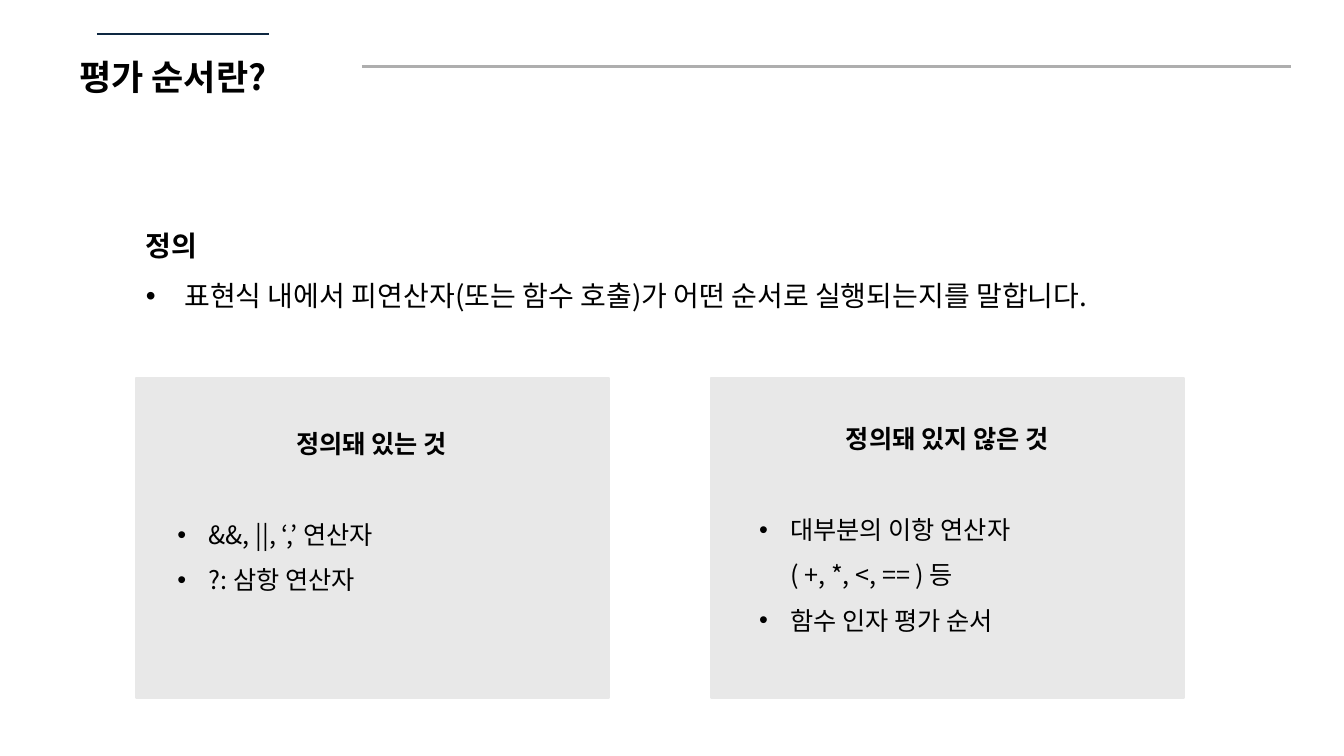
from lxml.etree import SubElement
from pptx import Presentation
from pptx.dml.color import RGBColor
from pptx.enum.shapes import MSO_CONNECTOR, MSO_SHAPE
from pptx.enum.text import MSO_AUTO_SIZE, PP_ALIGN
from pptx.oxml.ns import qn
from pptx.util import Inches, Pt

COLORS = {"text": "000000", "accent": "0E2841", "rule": "AEAEAE", "panel": "E8E8E8"}
FONT = "Noto Sans CJK KR"


class SlideBuilder:
    """Draw styled elements on the current slide."""

    def __init__(self, slide):
        self.slide = slide

    def color(self, name):
        return RGBColor.from_string(COLORS[name])

    def rule(self, left, right, top, color):
        connector = self.slide.shapes.add_connector(
            MSO_CONNECTOR.STRAIGHT, Inches(left), Inches(top), Inches(right), Inches(top))
        connector.line.color.rgb = self.color(color)
        connector.line.width = Pt(1.5)
        SubElement(connector._element.spPr, qn("a:effectLst"))

    def panel(self, left, top, width, height):
        shape = self.slide.shapes.add_shape(
            MSO_SHAPE.RECTANGLE, Inches(left), Inches(top), Inches(width), Inches(height))
        shape.shadow.inherit = False
        shape.fill.solid()
        shape.fill.fore_color.rgb = self.color("panel")
        shape.line.color.rgb = self.color("panel")
        shape.line.width = Pt(1.5)

    def style(self, paragraph, size, bold):
        font = paragraph.font
        font.size, font.bold, font.name = Pt(size), bold, FONT
        font.color.rgb = self.color("text")
        properties = paragraph._p.get_or_add_pPr().find(qn("a:defRPr"))
        SubElement(properties, qn("a:ea"), typeface=FONT)

    def bullet(self, paragraph, indent):
        properties = paragraph._p.get_or_add_pPr()
        properties.set("marL", str(Inches(indent)))
        properties.set("indent", str(-Inches(indent)))
        SubElement(properties, qn("a:buFont"), typeface="Arial")
        SubElement(properties, qn("a:buChar"), char="•")

    def text(self, box, heading, size, bullets=(), indent=0, spacing=1.5, gap=0, align=PP_ALIGN.LEFT):
        shape = self.slide.shapes.add_textbox(*(Inches(length) for length in box))
        frame = shape.text_frame
        frame.word_wrap = True
        frame.auto_size = MSO_AUTO_SIZE.SHAPE_TO_FIT_TEXT
        title = frame.paragraphs[0]
        title.text = heading
        title.alignment = align
        title.line_spacing = spacing
        title.space_after = Pt(gap)
        self.style(title, size, True)
        for content in bullets:
            paragraph = frame.add_paragraph()
            paragraph.text = content
            paragraph.line_spacing = spacing
            self.bullet(paragraph, indent)
            self.style(paragraph, size, False)


def main():
    presentation = Presentation()
    presentation.slide_width, presentation.slide_height = Inches(13.33), Inches(7.5)
    builder = SlideBuilder(presentation.slides.add_slide(presentation.slide_layouts[6]))

    builder.rule(0.96, 2.67, 0.34, "accent")
    builder.rule(3.59, 12.8, 0.66, "rule")
    builder.text((0.69, 0.5, 2.22, 0.52), "평가 순서란?", 25, spacing=1)
    builder.text((1.35, 2.05, 11.1, 1.55), "정의", 20,
                 ["표현식 내에서 피연산자(또는 함수 호출)가 어떤 순서로 실행되는지를 말합니다."], 0.38)

    columns = [
        (1.35, (1.66, 4.05, 4.05, 1.86), "정의돼 있는 것",
         ["&&, ||, ‘,’ 연산자", "?: 삼항 연산자"]),
        (7.05, (7.43, 4, 3.93, 2.68), "정의돼 있지 않은 것",
         ["대부분의 이항 연산자\n( +, *, <, == ) 등", "함수 인자 평가 순서"]),
    ]
    for left, box, heading, bullets in columns:
        builder.panel(left, 3.75, 4.69, 3.17)
        builder.text(box, heading, 18, bullets, 0.31, gap=32.5, align=PP_ALIGN.CENTER)

    presentation.save("out.pptx")


if __name__ == "__main__":
    main()
